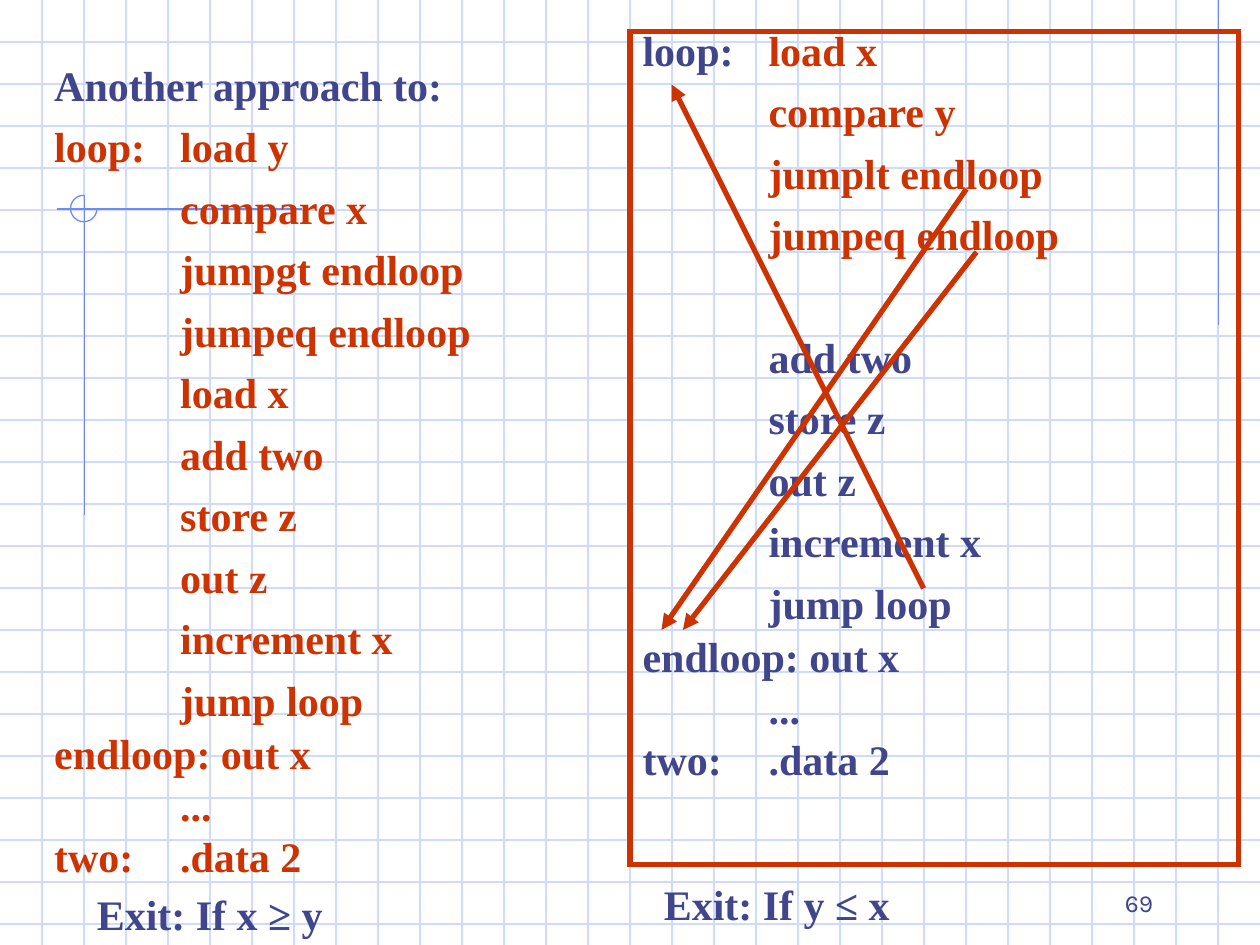
from dataclasses import dataclass

from lxml import etree
from pptx import Presentation
from pptx.dml.color import RGBColor
from pptx.enum import shapes, text
from pptx.oxml import ns
from pptx.util import Inches, Pt

NAVY = RGBColor(0x40, 0x45, 0x8C)
RED = RGBColor(0xCC, 0x33, 0x00)
GRID = RGBColor(0xCF, 0xDB, 0xFD)
BLUE = RGBColor(0x6F, 0x89, 0xF7)
SERIF = "Times New Roman"
SPACING = 15
SKIPPED_LINE = 35
CODE_INDENT = Inches(1)


@dataclass(frozen=True)
class Line:
    start: tuple[float, float]
    end: tuple[float, float]
    color: RGBColor
    width: float = 0.75
    arrow: bool = False


@dataclass(frozen=True)
class Box:
    left: float
    top: float
    width: float
    height: float


@dataclass(frozen=True)
class CodeLine:
    runs: tuple[tuple[str, RGBColor], ...]
    line_spacing: float = 0.7
    extra_space: float = 0
    indented: bool = False


@dataclass(frozen=True)
class Caption:
    box: Box
    content: str
    font: str = SERIF
    size: float = 24
    bold: bool = True
    alignment: text.PP_ALIGN = text.PP_ALIGN.LEFT
    anchor: text.MSO_ANCHOR = text.MSO_ANCHOR.TOP


def label(content: str, color: RGBColor, line_spacing: float = 0.7) -> CodeLine:
    return CodeLine(((content, color),), line_spacing)


def step(content: str, color: RGBColor, line_spacing: float = 0.7, extra_space: float = 0) -> CodeLine:
    return CodeLine(((content, color),), line_spacing, extra_space, True)


def ending(color: RGBColor) -> list[CodeLine]:
    return [
        label("endloop: out x", color, 0.5),
        step("...", color, 0.5),
        label("two:\t.data 2", color, 0.5),
    ]


def draw_line(slide, line: Line) -> None:
    connector = slide.shapes.add_connector(
        shapes.MSO_CONNECTOR.STRAIGHT,
        *(Inches(value) for value in line.start + line.end),
    )
    connector.line.color.rgb = line.color
    connector.line.width = Pt(line.width)
    properties = connector.element.spPr
    if line.arrow:
        outline = properties.find(ns.qn("a:ln"))
        etree.SubElement(outline, ns.qn("a:tailEnd"), type="triangle")
    etree.SubElement(properties, ns.qn("a:effectLst"))


def draw_corner_arc(slide, box: Box) -> None:
    arc = slide.shapes.add_shape(
        shapes.MSO_SHAPE.ARC,
        Inches(box.left), Inches(box.top), Inches(box.width), Inches(box.height),
    )
    arc.adjustments[0] = 0
    arc.adjustments[1] = 162
    arc.shadow.inherit = False
    arc.fill.background()
    arc.line.color.rgb = BLUE
    arc.line.width = Pt(0.75)


def add_run(paragraph, content: str, color: RGBColor, font: str, size: float, bold: bool) -> None:
    run = paragraph.add_run()
    run.text = content
    run.font.name = font
    run.font.size = Pt(size)
    run.font.bold = bold
    run.font.color.rgb = color


def format_code_paragraph(paragraph, indented: bool) -> None:
    properties = paragraph._p.get_or_add_pPr()
    properties.set("marL", str(CODE_INDENT if indented else 0))
    properties.set("indent", "0")
    etree.SubElement(properties, ns.qn("a:buNone"))
    if not indented:
        tabs = etree.SubElement(properties, ns.qn("a:tabLst"))
        etree.SubElement(tabs, ns.qn("a:tab"), pos=str(CODE_INDENT), algn="l")


def fill_listing(slide, placeholder, box: Box, lines: list[CodeLine]) -> None:
    slide.shapes.element.append(placeholder.element)
    placeholder.left, placeholder.top = Inches(box.left), Inches(box.top)
    placeholder.width, placeholder.height = Inches(box.width), Inches(box.height)
    frame = placeholder.text_frame
    frame.word_wrap = True
    frame.auto_size = text.MSO_AUTO_SIZE.NONE
    frame.vertical_anchor = text.MSO_ANCHOR.TOP
    for index, line in enumerate(lines):
        paragraph = frame.add_paragraph() if index else frame.paragraphs[0]
        format_code_paragraph(paragraph, line.indented)
        paragraph.line_spacing = line.line_spacing
        paragraph.space_before = Pt(SPACING + line.extra_space if index else 0)
        for content, color in line.runs:
            add_run(paragraph, content, color, SERIF, 24, True)


def draw_frame(placeholder) -> None:
    placeholder.line.color.rgb = RED
    placeholder.line.width = Pt(3)
    outline = placeholder.element.spPr.find(ns.qn("a:ln"))
    etree.SubElement(outline, ns.qn("a:miter"), lim="800000")


def draw_caption(slide, caption: Caption) -> None:
    box = caption.box
    shape = slide.shapes.add_textbox(
        Inches(box.left), Inches(box.top), Inches(box.width), Inches(box.height)
    )
    frame = shape.text_frame
    frame.word_wrap = True
    frame.vertical_anchor = caption.anchor
    paragraph = frame.paragraphs[0]
    paragraph.alignment = caption.alignment
    add_run(paragraph, caption.content, NAVY, caption.font, caption.size, caption.bold)


def main() -> None:
    presentation = Presentation()
    presentation.slide_width, presentation.slide_height = Inches(10), Inches(7.5)
    slide = presentation.slides.add_slide(presentation.slide_layouts[3])
    title, left_body, right_body = list(slide.placeholders)[:3]
    title.element.getparent().remove(title.element)

    rows = [Line((0, row / 3), (10, row / 3), GRID) for row in range(1, 23)]
    columns = [Line((column / 3, 0), (column / 3, 7.5), GRID) for column in range(1, 30)]
    accents = [
        Line((9.67, 0), (9.67, 2.58), BLUE),
        Line((2.4, 1.66), (0.45, 1.66), BLUE),
        Line((0.67, 1.55), (0.67, 4.09), BLUE),
    ]
    for line in rows + columns + accents:
        draw_line(slide, line)
    draw_corner_arc(slide, Box(0.56, 1.55, 0.21, 0.21))

    left_steps = (
        "compare x", "jumpgt endloop", "jumpeq endloop", "load x",
        "add two", "store z", "out z", "increment x", "jump loop",
    )
    left_lines = [label("Another approach to:", NAVY), label("loop:\tload y", RED)]
    left_lines += [step(content, RED) for content in left_steps]
    fill_listing(slide, left_body, Box(0.33, 0.53, 4.33, 7.1), left_lines + ending(RED))

    right_lines = [CodeLine((("loop:\t", NAVY), ("load x", RED)))]
    right_lines += [step(content, RED) for content in ("compare y", "jumplt endloop", "jumpeq endloop")]
    right_lines.append(step("add two", NAVY, extra_space=SKIPPED_LINE))
    right_lines += [step(content, NAVY) for content in ("store z", "out z", "increment x", "jump loop")]
    fill_listing(slide, right_body, Box(5, 0.25, 4.83, 6.61), right_lines + ending(NAVY))
    draw_frame(right_body)

    draw_caption(slide, Caption(Box(0.67, 7, 3.58, 0.5), "Exit: If x ≥ y"))
    draw_caption(slide, Caption(Box(5.17, 6.92, 3.58, 0.5), "Exit: If y ≤ x"))

    jumps = [((7.67, 1.5), (5.25, 5)), ((7.75, 2), (5.42, 5)), ((7.33, 4.67), (5.33, 0.67))]
    for start, end in jumps:
        draw_line(slide, Line(start, end, RED, 3, True))

    draw_caption(slide, Caption(
        Box(7.17, 6.83, 2.08, 0.5), "69", "Karla", 14, False,
        text.PP_ALIGN.RIGHT, text.MSO_ANCHOR.BOTTOM,
    ))
    presentation.save("out.pptx")


if __name__ == "__main__":
    main()
